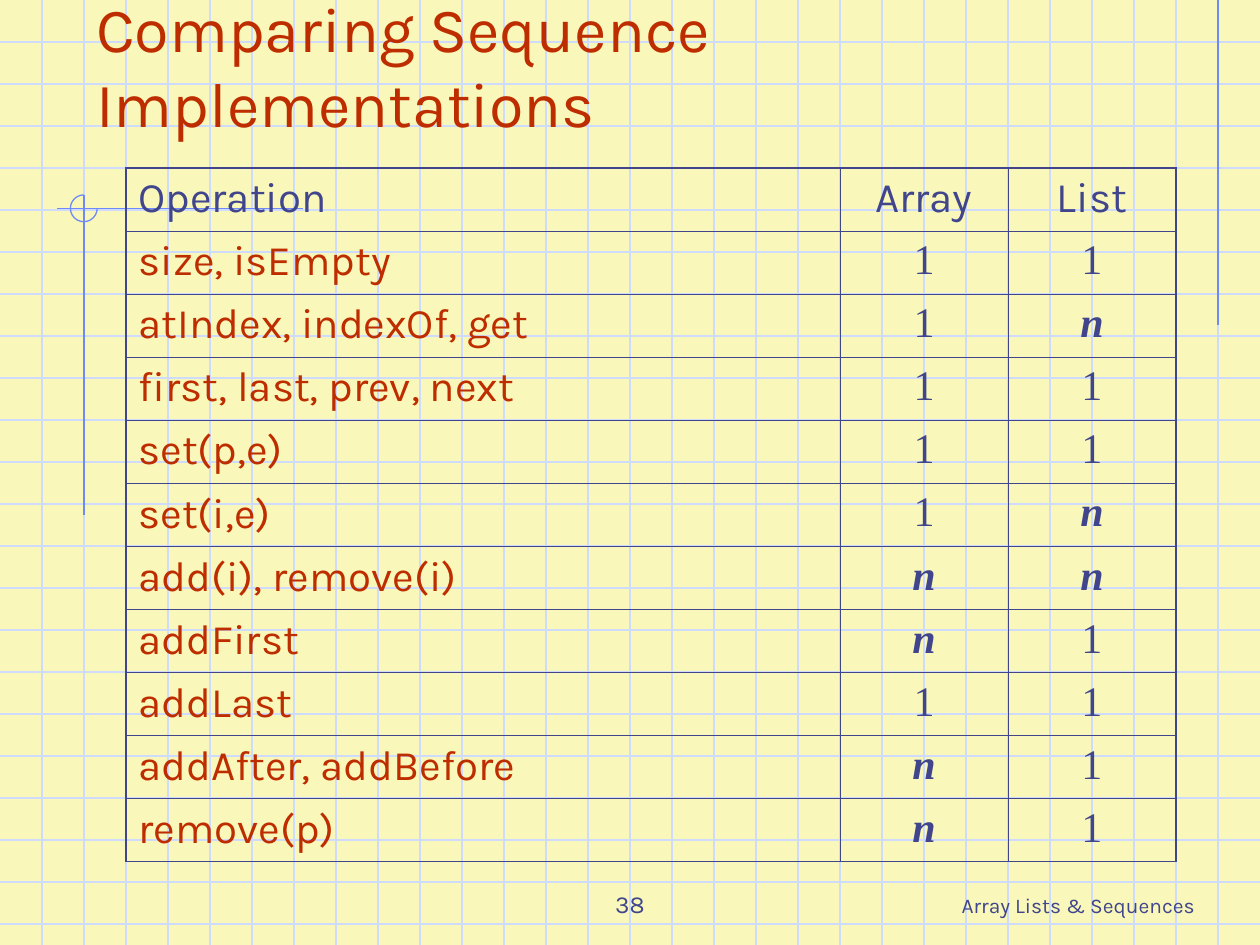
"""Build a slide comparing the costs of array and list sequence operations."""
import lxml.etree
import pptx
import pptx.dml.color
import pptx.enum.shapes
import pptx.enum.text
import pptx.oxml.ns
import pptx.util

Cm = pptx.util.Cm
Pt = pptx.util.Pt
Align = pptx.enum.text.PP_ALIGN

PAPER, GRID, MARGIN = "F9F8BA", "CFDBFD", "6F89F7"
INK, ACCENT = "40458C", "BE2D00"
SANS, SERIF = "Karla", "Times New Roman"

WIDTH, HEIGHT = 25.4, 19.05
STEP = WIDTH / 30
THIN, THICK = 0.45, 1.08

HEADER = ("Operation", "Array", "List")
COSTS = [
    ("size, isEmpty", "1", "1"),
    ("atIndex, indexOf, get", "1", "n"),
    ("first, last, prev, next", "1", "1"),
    ("set(p,e)", "1", "1"),
    ("set(i,e)", "1", "n"),
    ("add(i), remove(i)", "n", "n"),
    ("addFirst", "n", "1"),
    ("addLast", "1", "1"),
    ("addAfter, addBefore", "n", "1"),
    ("remove(p)", "n", "1"),
]
COLUMN_WIDTHS = (17 * STEP, 4 * STEP, 4 * STEP)
ROW_HEIGHT = 1.27

TEXTS = [
    ("Array Lists & Sequences", (19.05, 17.36, 5.29, 1.27), Align.RIGHT, 12, INK),
    ("38", (8.68, 17.36, 8.04, 1.27), Align.CENTER, 14, INK),
    ("Comparing Sequence Implementations", (1.69, 0.85, 22.44, 2.11), Align.LEFT, 36, ACCENT),
]
MARGIN_LINES = [
    (29 * STEP, 0, 29 * STEP, 6.56),
    (6.1, 4.21, 1.14, 4.21),
    (2 * STEP, 3.93, 2 * STEP, 10.39),
]
ARC = (1.42, 3.93, 0.54, 0.54)


def rgb(value):
    return pptx.dml.color.RGBColor.from_string(value)


def add_line(page, ends, color):
    line = page.shapes.add_connector(
        pptx.enum.shapes.MSO_CONNECTOR.STRAIGHT, *(Cm(end) for end in ends))
    line.line.color.rgb = rgb(color)
    line.line.width = Pt(0.75)
    lxml.etree.SubElement(line._element.spPr, pptx.oxml.ns.qn("a:effectLst"))


def write(frame, text, align, size, color, font=SANS, emphasis=False):
    para = frame.paragraphs[0]
    para.alignment = align
    span = para.add_run()
    span.text = text
    span.font.name = font
    span.font.size = Pt(size)
    span.font.color.rgb = rgb(color)
    span.font.bold = span.font.italic = emphasis


def add_text(page, text, place, align, size, color):
    box = page.shapes.add_textbox(*(Cm(length) for length in place))
    box.text_frame.word_wrap = True
    box.text_frame.vertical_anchor = pptx.enum.text.MSO_ANCHOR.BOTTOM
    write(box.text_frame, text, align, size, color)


def add_borders(cell, outer_sides):
    properties = cell._tc.get_or_add_tcPr()
    for side in "LRTB":
        width = THICK if side in outer_sides else THIN
        border = lxml.etree.SubElement(
            properties, pptx.oxml.ns.qn("a:ln" + side), w=str(Pt(width)))
        fill = lxml.etree.SubElement(border, pptx.oxml.ns.qn("a:solidFill"))
        lxml.etree.SubElement(fill, pptx.oxml.ns.qn("a:srgbClr"), val=INK)


def add_cost_table(page):
    rows = [HEADER] + COSTS
    last_row, last_column = len(rows) - 1, len(HEADER) - 1
    table = page.shapes.add_table(
        len(rows), len(HEADER), Cm(3 * STEP), Cm(4 * STEP),
        Cm(sum(COLUMN_WIDTHS)), Cm(ROW_HEIGHT * len(rows))).table
    table.first_row = table.horz_banding = False
    for column, width in zip(table.columns, COLUMN_WIDTHS):
        column.width = Cm(width)
    for r, row in enumerate(rows):
        table.rows[r].height = Cm(ROW_HEIGHT)
        for c, text in enumerate(row):
            cell = table.cell(r, c)
            edges = {"L": c == 0, "R": c == last_column, "T": r == 0, "B": r == last_row}
            add_borders(cell, [side for side, outer in edges.items() if outer])
            cell.fill.background()
            write(cell.text_frame, text,
                  Align.CENTER if c else Align.LEFT, 24,
                  ACCENT if r and not c else INK,
                  SERIF if r and c else SANS, text == "n")


def add_backdrop(page):
    page.background.fill.solid()
    page.background.fill.fore_color.rgb = rgb(PAPER)
    for i in range(1, 23):
        add_line(page, (0, i * STEP, WIDTH, i * STEP), GRID)
    for i in range(1, 30):
        add_line(page, (i * STEP, 0, i * STEP, HEIGHT), GRID)
    for ends in MARGIN_LINES:
        add_line(page, ends, MARGIN)
    arc = page.shapes.add_shape(
        pptx.enum.shapes.MSO_SHAPE.ARC, *(Cm(length) for length in ARC))
    arc.adjustments[0] = 0
    arc.adjustments[1] = 162
    arc.shadow.inherit = False
    arc.fill.background()
    arc.line.color.rgb = rgb(MARGIN)
    arc.line.width = Pt(0.75)


def main():
    deck = pptx.Presentation()
    deck.slide_width, deck.slide_height = Cm(WIDTH), Cm(HEIGHT)
    page = deck.slides.add_slide(deck.slide_layouts[6])
    add_backdrop(page)
    for text in TEXTS:
        add_text(page, *text)
    add_cost_table(page)
    deck.save("out.pptx")


if __name__ == "__main__":
    main()
